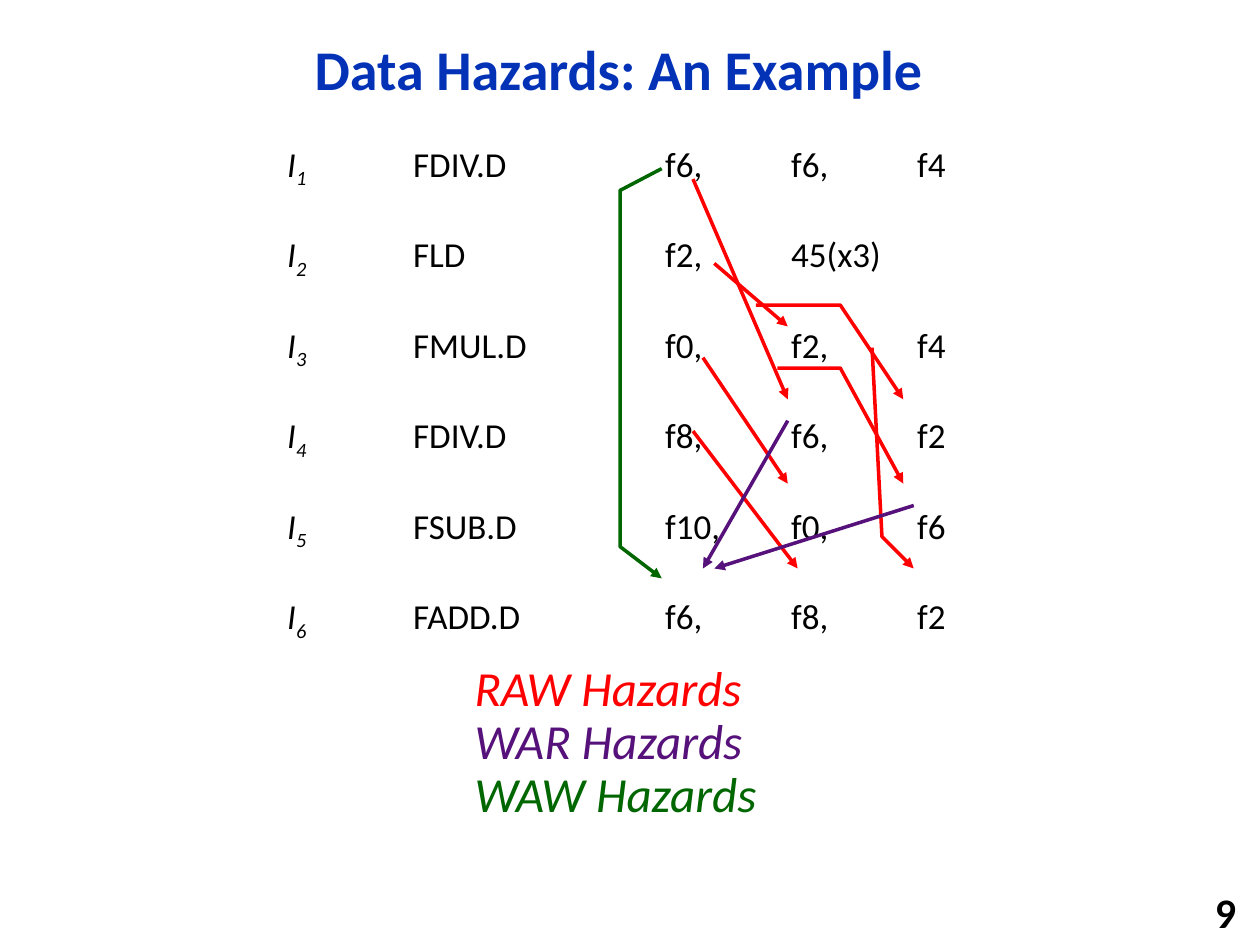
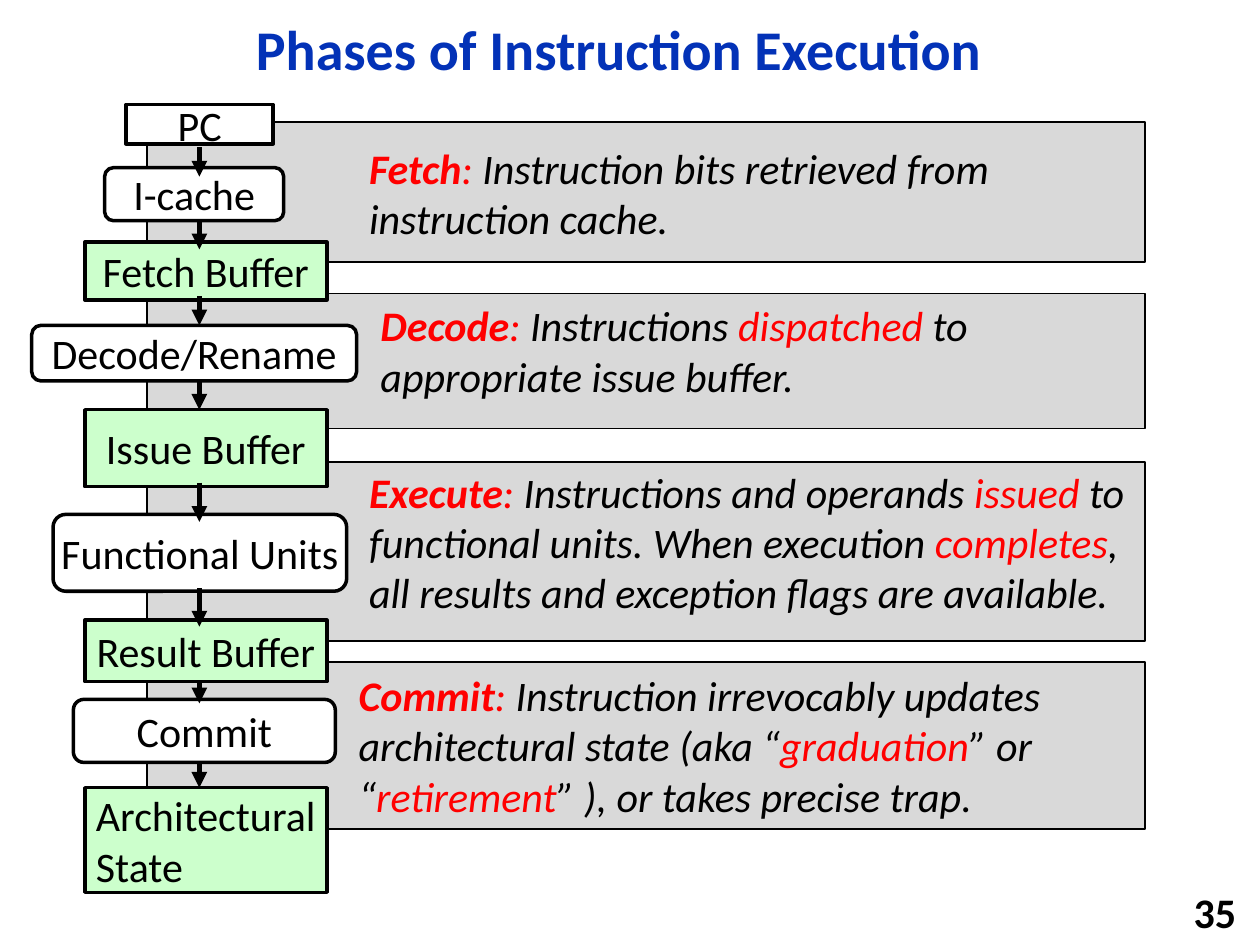
from collections import namedtuple

from lxml.etree import SubElement
from pptx import Presentation
from pptx.dml.color import RGBColor
from pptx.enum.shapes import MSO_CONNECTOR as Connector, MSO_SHAPE as Preset
from pptx.enum.text import MSO_ANCHOR as Anchor, MSO_AUTO_SIZE as AutoSize, PP_ALIGN as Align
from pptx.oxml.ns import qn
from pptx.util import Cm, Pt

# Shared style
BLUE = RGBColor(0x03, 0x32, 0xB7)
RED = RGBColor(0xFF, 0x00, 0x00)
PURPLE = RGBColor(0x56, 0x12, 0x7A)
DARK_GREEN = RGBColor(0x00, 0x66, 0x00)
PALE_GREEN = RGBColor(0xCC, 0xFF, 0xCC)
GREY = RGBColor(0xD9, 0xD9, 0xD9)
WHITE = RGBColor(0xFF, 0xFF, 0xFF)
BLACK = RGBColor(0x00, 0x00, 0x00)
FONT = "Calibri"

# All box values are centimetres
Box = namedtuple("Box", "left top width height")
NUMBER_BOX = Box(19.89, 17.98, 5.28, 0.81)

# Data hazards
LISTING_BOX = Box(5.54, 2.74, 13.97, 9.65)
LEGEND_BOX = Box(9.32, 13.13, 6.99, 1.45)
LEGEND_STEP = 1.07
TAB_STOPS = (2.54, 7.62, 10.16, 12.7)
INSTRUCTIONS = [
    ("FDIV.D", "f6,", "f6,", "f4"),
    ("FLD", "f2,", "45(x3)"),
    ("FMUL.D", "f0,", "f2,", "f4"),
    ("FDIV.D", "f8,", "f6,", "f2"),
    ("FSUB.D", "f10,", "f0,", "f6"),
    ("FADD.D", "f6,", "f8,", "f2"),
]
# Name, colour, and the wires as points within the listing box
HAZARDS = [
    ("RAW Hazards", RED, [
        [(8.43, 0.87), (10.34, 5.31)],
        [(10.13, 4.68), (11.4, 4.68), (12.67, 7.01)],
        [(8.86, 2.57), (10.34, 3.84)],
        [(9.7, 3.41), (11.4, 3.41), (12.67, 5.31)],
        [(12.04, 4.27), (12.24, 8.08), (12.88, 8.72)],
        [(8.63, 4.47), (10.34, 7.01)],
        [(8.43, 5.95), (10.54, 8.72)],
    ]),
    ("WAR Hazards", PURPLE, [
        [(10.34, 5.74), (8.63, 8.72)],
        [(12.88, 7.45), (8.86, 8.72)],
    ]),
    ("WAW Hazards", DARK_GREEN, [
        [(7.8, 0.66), (6.96, 1.1), (6.96, 8.28), (7.8, 8.92)],
    ]),
]

# Phases: band, text box within the band, name, text with *red* words
PHASES = [
    (Box(2.97, 2.46, 20.12, 2.82), Box(4.22, 0.28, 13.08, 2.31), "Fetch",
     "Instruction bits retrieved from instruction cache."),
    (Box(2.97, 5.92, 20.12, 2.72), Box(4.45, 0, 15.98, 2.31), "Decode",
     "Instructions *dispatched *to appropriate issue buffer."),
    (Box(2.97, 9.32, 20.12, 3.61), Box(4.22, -0.05, 15.88, 3.33), "Execute",
     "Instructions and operands *issued *to functional units. When execution "
     "*completes*, all results and exception flags are available."),
    (Box(2.97, 13.34, 20.12, 3.38), Box(4.01, 0.03, 16.51, 3.33), "Commit",
     "Instruction irrevocably updates architectural state (aka “*graduation*” or "
     "“*retirement*” ), or takes precise trap."),
]

# Pipeline: stages and arrow spans within the pipeline box
PIPELINE_BOX = Box(0.64, 2.11, 6.55, 15.88)
REGISTER = (Preset.RECTANGLE, WHITE)
UNIT = (Preset.ROUNDED_RECTANGLE, WHITE)
BUFFER = (Preset.RECTANGLE, PALE_GREEN)
STAGES = [
    (["PC"], REGISTER, Box(1.9, 0, 2.97, 0.79)),
    (["I-cache"], UNIT, Box(1.47, 1.27, 3.61, 1.07)),
    (["Fetch Buffer"], BUFFER, Box(1.07, 2.77, 4.88, 1.17)),
    (["Decode/Rename"], UNIT, Box(0, 4.45, 6.55, 1.12)),
    (["Issue Buffer"], BUFFER, Box(1.07, 6.15, 4.88, 1.55)),
    (["Functional Units"], UNIT, Box(0.43, 8.26, 5.92, 1.55)),
    (["Result Buffer"], BUFFER, Box(1.07, 10.39, 4.88, 1.24)),
    (["Commit"], UNIT, Box(0.84, 11.99, 5.28, 1.27)),
    (["Architectural", "State"], BUFFER, Box(1.07, 13.77, 4.88, 2.11)),
]
ARROW_X = 3.38
ARROW_SPANS = [(0.86, 1.45), (2.34, 2.92), (3.86, 4.45), (5.56, 6.15),
               (7.62, 8.41), (9.75, 10.52), (11.63, 12.07), (13.26, 13.77)]


def within(outer, inner):
    return Box(outer.left + inner.left, outer.top + inner.top, inner.width, inner.height)


def lengths(box):
    return [Cm(value) for value in box]


def set_all(target, **values):
    for name, value in values.items():
        setattr(target, name, value)


def add_span(para, text, size, color=BLACK, **style):
    span = para.add_run()
    span.text = text
    set_all(span.font, name=FONT, size=Pt(size), **style)
    span.font.color.rgb = color
    return span


def add_text_box(page, box, anchor=Anchor.TOP):
    frame = page.shapes.add_textbox(*lengths(box)).text_frame
    set_all(frame, word_wrap=True, vertical_anchor=anchor)
    return frame.paragraphs[0]


def add_block(page, box, preset, fill, weight):
    shape = page.shapes.add_shape(preset, *lengths(box))
    shape.shadow.inherit = False
    shape.fill.solid()
    shape.fill.fore_color.rgb = fill
    shape.line.color.rgb = BLACK
    shape.line.width = Pt(weight)
    return shape


def add_arrow(page, box, points, color, weight):
    """Draw an arrow through points given within the box."""
    spots = [(Cm(box.left + x), Cm(box.top + y)) for x, y in points]
    if len(spots) == 2:
        arrow = page.shapes.add_connector(Connector.STRAIGHT, *spots[0], *spots[1])
    else:
        builder = page.shapes.build_freeform(*spots[0])
        builder.add_line_segments(spots[1:], close=False)
        arrow = builder.convert_to_shape()
        arrow.fill.background()
    arrow.line.color.rgb = color
    arrow.line.width = Pt(weight)
    properties = arrow.element.spPr
    SubElement(properties.find(qn("a:ln")), qn("a:tailEnd"), type="triangle")
    SubElement(properties, qn("a:effectLst"))


def add_page(deck, title, title_top, number):
    page = deck.slides.add_slide(deck.slide_layouts[5])
    heading = page.shapes.title
    place = lengths(Box(2.34, title_top, 20.27, 2.06))
    set_all(heading, **dict(zip(("left", "top", "width", "height"), place)))
    set_all(heading.text_frame, auto_size=AutoSize.NONE, vertical_anchor=Anchor.MIDDLE)
    para = heading.text_frame.paragraphs[0]
    set_all(para, alignment=Align.CENTER, line_spacing=0.9)
    add_span(para, title, 32, BLUE, bold=True)

    para = add_text_box(page, NUMBER_BOX, Anchor.MIDDLE)
    para.alignment = Align.RIGHT
    add_span(para, number, 24, bold=True)
    return page


def add_listing(page, box):
    frame = page.shapes.add_textbox(*lengths(box)).text_frame
    frame.word_wrap = True
    for index, fields in enumerate(INSTRUCTIONS):
        para = frame.add_paragraph() if index else frame.paragraphs[0]
        tabs = SubElement(para._p.get_or_add_pPr(), qn("a:tabLst"))
        for stop in TAB_STOPS:
            SubElement(tabs, qn("a:tab"), pos=str(Cm(stop)), algn="l")
        if index:
            para.space_before = Pt(24.4)
        add_span(para, "I", 20, italic=True)
        subscript = add_span(para, str(index + 1), 20, italic=True)
        subscript._r.get_or_add_rPr().set("baseline", "-25000")
        add_span(para, "\t" + "\t".join(fields), 20)


def add_legend(page, box):
    for index, (name, color, _) in enumerate(HAZARDS):
        row = box._replace(top=box.top + index * LEGEND_STEP)
        add_span(add_text_box(page, row), name, 28, color, italic=True)


def add_wires(page, box):
    for _, color, wires in HAZARDS:
        for points in wires:
            add_arrow(page, box, points, color, 2)


def add_phase(page, band, text_box, name, text):
    add_block(page, band, Preset.RECTANGLE, GREY, 1)
    para = add_text_box(page, within(band, text_box))
    add_span(para, name, 24, RED, bold=True, italic=True)
    add_span(para, ": ", 24, RED, italic=True)
    for index, part in enumerate(text.split("*")):
        add_span(para, part, 24, RED if index % 2 else BLACK, italic=True)


def add_pipeline(page, box):
    for lines, (preset, fill), place in STAGES:
        stage = add_block(page, within(box, place), preset, fill, 2)
        frame = stage.text_frame
        set_all(frame, word_wrap=False, vertical_anchor=Anchor.MIDDLE)
        for index, line in enumerate(lines):
            para = frame.add_paragraph() if index else frame.paragraphs[0]
            para.alignment = Align.LEFT if index else Align.CENTER
            add_span(para, line, 24)
    for start, end in ARROW_SPANS:
        add_arrow(page, box, [(ARROW_X, start), (ARROW_X, end)], BLACK, 3)


def add_hazards_slide(deck):
    page = add_page(deck, "Data Hazards: An Example", 0.43, "9")
    add_listing(page, LISTING_BOX)
    add_legend(page, LEGEND_BOX)
    add_wires(page, LISTING_BOX)


def add_phases_slide(deck):
    page = add_page(deck, "Phases of Instruction Execution", 0.03, "35")
    for phase in PHASES:
        add_phase(page, *phase)
    add_pipeline(page, PIPELINE_BOX)


def main():
    deck = Presentation()
    set_all(deck, slide_width=Cm(25.4), slide_height=Cm(19.05))
    add_hazards_slide(deck)
    add_phases_slide(deck)
    deck.save("out.pptx")


if __name__ == "__main__":
    main()
